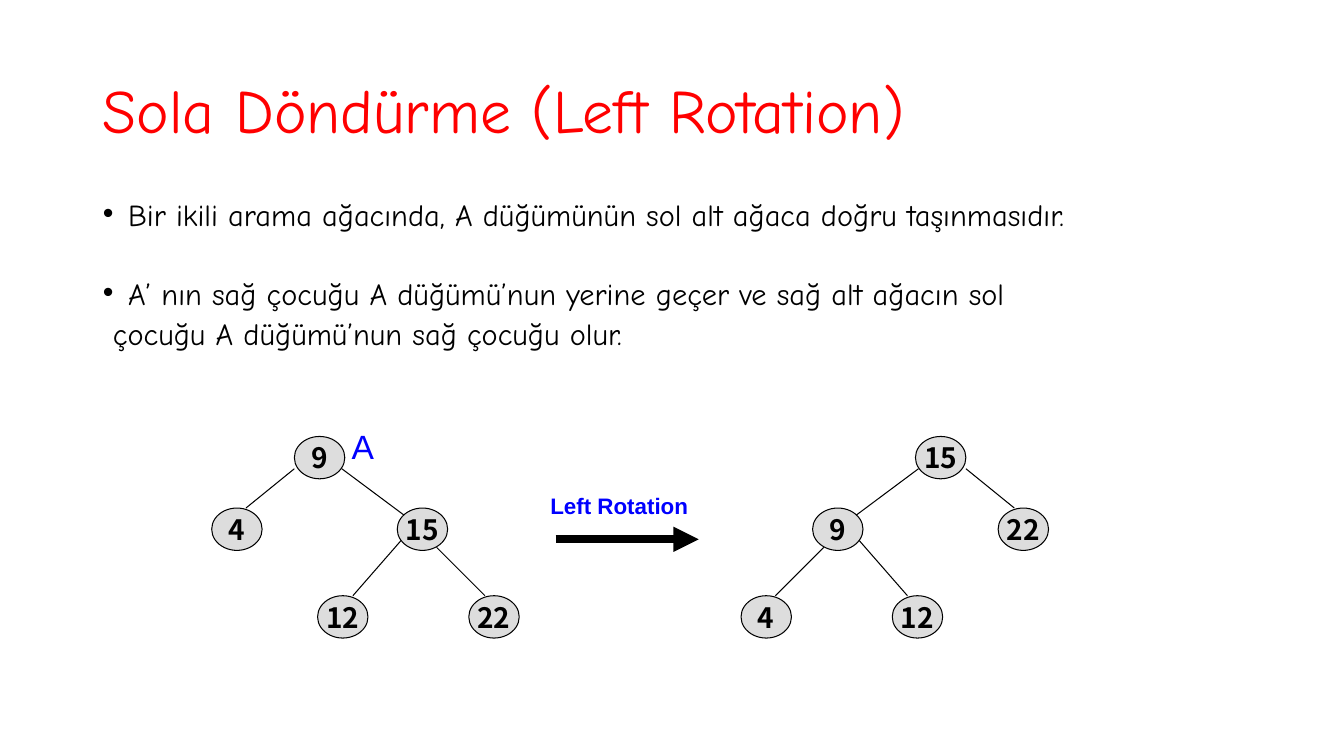
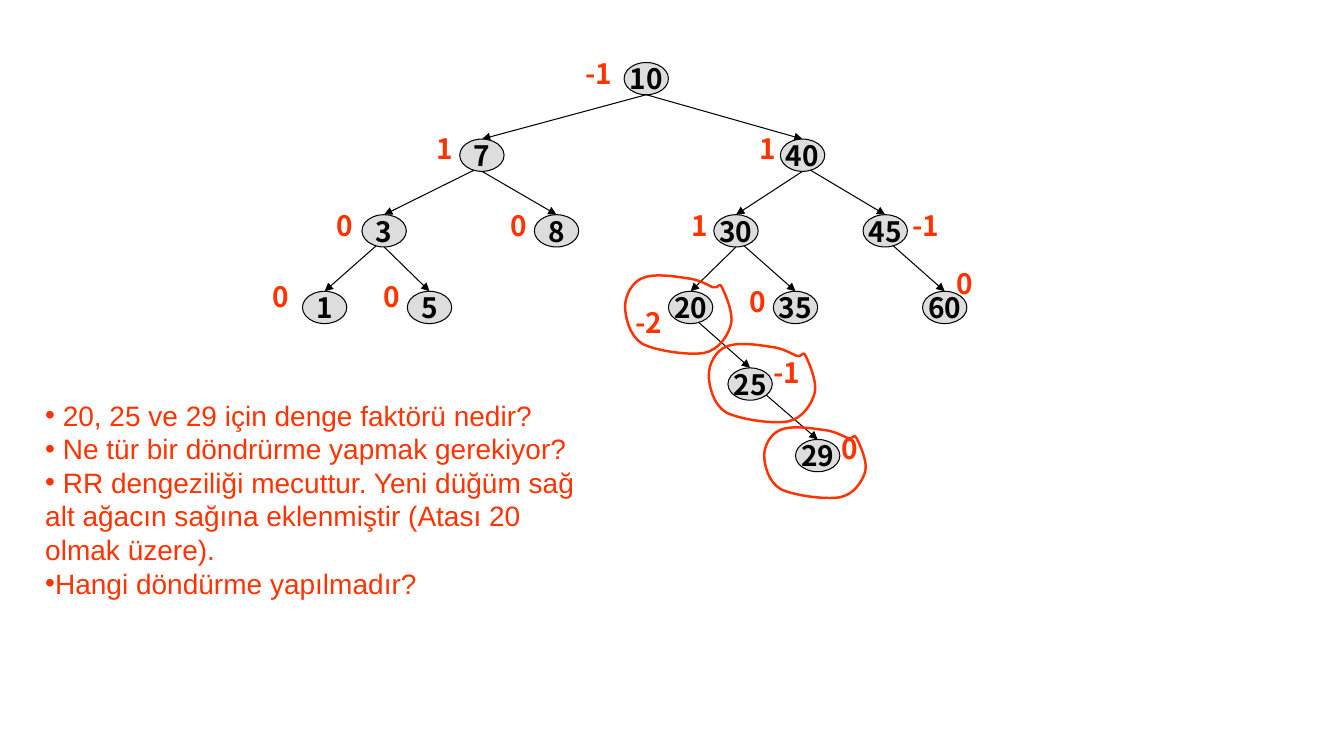
from math import sqrt

from lxml import etree
from pptx import Presentation
from pptx import util as u
from pptx.dml.color import RGBColor
from pptx.enum import shapes, text
from pptx.oxml.ns import qn

# Shared style
BLACK = RGBColor(0x00, 0x00, 0x00)
RED = RGBColor(0xFF, 0x00, 0x00)
ORANGE = RGBColor(0xFF, 0x33, 0x00)
BLUE = RGBColor(0x00, 0x00, 0xFF)
GREY = RGBColor(0xDD, 0xDD, 0xDD)
HEADING_FONT, TEXT_FONT, NODE_FONT = "Comic Neue", "Arial", "Noto Sans CJK KR"


def write(shape, lines, size, font, color, bold=False, wrap=True):
    """Fill a shape with one paragraph per line, all in one style."""
    frame = shape.text_frame
    frame.text = lines
    frame.word_wrap = wrap
    frame.auto_size = text.MSO_AUTO_SIZE.NONE
    for paragraph in frame.paragraphs:
        for run in paragraph.runs:
            run.font.size = u.Pt(size)
            run.font.name = font
            run.font.bold = bold
            run.font.color.rgb = color
    return frame


def draw_line(slide, start, end, width=0.75, arrow=False):
    """Connect two points given in inches."""
    connector = slide.shapes.add_connector(
        shapes.MSO_CONNECTOR.STRAIGHT, *[u.Inches(v) for v in (*start, *end)])
    connector.line.color.rgb = BLACK
    connector.line.width = u.Pt(width)
    properties = connector._element.spPr
    if arrow:
        etree.SubElement(properties.find(qn("a:ln")), qn("a:tailEnd"), type="triangle")
    etree.SubElement(properties, qn("a:effectLst"))


presentation = Presentation()
presentation.slide_width, presentation.slide_height = u.Inches(13.33), u.Inches(7.5)
rotation_slide = presentation.slides.add_slide(presentation.slide_layouts[1])
balance_slide = presentation.slides.add_slide(presentation.slide_layouts[6])

# Rotation slide: title
title = rotation_slide.shapes.title
title.left, title.top, title.width, title.height = [u.Inches(v) for v in (0.92, 0.4, 11.5, 1.45)]
frame = write(title, "Sola Döndürme (Left Rotation)", 44, HEADING_FONT, RED)
frame.vertical_anchor = text.MSO_ANCHOR.MIDDLE
frame.paragraphs[0].alignment = text.PP_ALIGN.LEFT
frame.paragraphs[0].line_spacing = 0.9

# Rotation slide: the right tree mirrors the left one
MIRROR = 12.5
NODE_WIDTH, NODE_HEIGHT = 0.5, 0.42
node_places = [(2.92, 4.33), (2.1, 5.04), (3.94, 5.04), (3.15, 5.91), (4.65, 5.91)]
edges = [((2.92, 4.65), (2.44, 5.04)), ((3.39, 4.65), (4.02, 5.12)),
         ((3.98, 5.36), (3.5, 5.91)), ((4.33, 5.43), (4.81, 5.91))]
nodes = []  # slide, value, left, top, width, height
for values, mirrored in (((9, 4, 15, 12, 22), False), ((15, 22, 9, 12, 4), True)):
    for value, (x, y) in zip(values, node_places):
        left = MIRROR - NODE_WIDTH - x if mirrored else x
        nodes.append((rotation_slide, value, left, y, NODE_WIDTH, NODE_HEIGHT))
    for edge in edges:
        start, end = [(MIRROR - x if mirrored else x, y) for x, y in edge]
        draw_line(rotation_slide, start, end)
draw_line(rotation_slide, (5.51, 5.35), (6.93, 5.35), 6, True)

# Balance slide: value, centre, level, parent, shift of the edge on the parent's rim
ROW_TOPS = [0.62, 1.38, 2.13, 2.89, 3.65, 4.36]
OVAL_WIDTH, OVAL_HEIGHT = 0.44, 0.32
tree = [
    (10, 6.41, 0, None, 0),
    (7, 4.78, 1, 10, 0), (40, 7.96, 1, 10, 0),
    (3, 3.81, 2, 7, -0.08), (8, 5.52, 2, 7, 0),
    (30, 7.3, 2, 40, 0), (45, 8.78, 2, 40, 0.08),
    (1, 3.22, 3, 3, -0.08), (5, 4.26, 3, 3, 0),
    (20, 6.85, 3, 30, 0), (35, 7.89, 3, 30, 0.08), (60, 9.37, 3, 45, 0.08),
    (25, 7.44, 4, 20, 0.08),
    (29, 8.11, 5, 25, 0.16),
]
centres = {}
for value, x, level, parent, shift in tree:
    top = ROW_TOPS[level]
    centres[value] = (x, top + OVAL_HEIGHT / 2)
    nodes.append((balance_slide, value, x - OVAL_WIDTH / 2, top, OVAL_WIDTH, OVAL_HEIGHT))
    if parent is not None:
        parent_x, parent_y = centres[parent]
        rim = OVAL_HEIGHT / 2 * sqrt(1 - (2 * shift / OVAL_WIDTH) ** 2)
        draw_line(balance_slide, (parent_x + shift, parent_y + rim), (x, top), arrow=True)

# Nodes of all trees
for slide, value, *box in nodes:
    node = slide.shapes.add_shape(shapes.MSO_SHAPE.OVAL, *[u.Inches(v) for v in box])
    node.shadow.inherit = False
    node.fill.solid()
    node.fill.fore_color.rgb = GREY
    node.line.color.rgb = BLACK
    node.line.width = u.Pt(0.75)
    frame = write(node, str(value), 20, NODE_FONT, BLACK, True, False)
    frame.vertical_anchor = text.MSO_ANCHOR.MIDDLE
    frame.paragraphs[0].alignment = text.PP_ALIGN.CENTER

# Captions and balance factors
labels = [
    (rotation_slide, "Left Rotation", (5.36, 4.83, 1.58, 0.37), 16, TEXT_FONT, BLUE, True),
    (rotation_slide, "A", (3.39, 4.18, 0.47, 0.5), 24, TEXT_FONT, BLUE, False),
]
for factor, x, y in (
        (-1, 5.71, 0.51), (1, 4.23, 1.26), (1, 7.43, 1.26), (0, 3.24, 2.02),
        (0, 4.97, 2.02), (1, 6.76, 2.02), (-1, 8.95, 2.02), (0, 2.6, 2.72),
        (0, 3.71, 2.72), (0, 7.34, 2.77), (0, 9.39, 2.59), (-2, 6.2, 2.98),
        (-1, 7.57, 3.48), (0, 8.25, 4.23)):
    width = 0.53 if factor < 0 else 0.36
    labels.append((balance_slide, str(factor), (x, y, width, 0.43), 20, NODE_FONT, ORANGE, True))
for slide, caption, box, size, font, color, bold in labels:
    label = slide.shapes.add_textbox(*[u.Inches(v) for v in box])
    write(label, caption, size, font, color, bold, slide is rotation_slide)

# Hand-drawn rings: a start, then two controls and an end for each curve
RING_WIDTH, RING_HEIGHT = 1.08, 0.82
ring_points = [
    (0.61, 0.05),
    (0.49, 0.03), (0.27, 0), (0.17, 0.05),
    (0.07, 0.09), (0, 0.22), (0, 0.33),
    (0, 0.43), (0.04, 0.62), (0.17, 0.7),
    (0.3, 0.77), (0.64, 0.82), (0.79, 0.79),
    (0.93, 0.76), (1.02, 0.62), (1.05, 0.51),
    (1.08, 0.4), (0.99, 0.2), (0.96, 0.14),
    (0.93, 0.08), (0.93, 0.16), (0.87, 0.14),
    (0.82, 0.12), (0.73, 0.06), (0.61, 0.05),
]
for left, top, width, height in ((7.58, 4.22, 1.03, 0.74), (7.03, 3.39, 1.08, 0.82),
                                 (6.2, 2.71, 1.08, 0.82)):
    points = [(u.Inches(left + x * width / RING_WIDTH), u.Inches(top + y * height / RING_HEIGHT))
              for x, y in ring_points]
    builder = balance_slide.shapes.build_freeform(*points[0])
    builder.add_line_segments(points[1:], close=True)
    ring = builder.convert_to_shape()
    ring.shadow.inherit = False
    ring.fill.background()
    ring.line.color.rgb = ORANGE
    ring.line.width = u.Pt(1.75)
    # Join each three segments into one cubic curve
    segments = list(ring._element.iter(qn("a:lnTo")))
    for first in range(0, len(segments), 3):
        curve = etree.Element(qn("a:cubicBezTo"))
        segments[first].addprevious(curve)
        for segment in segments[first:first + 3]:
            curve.append(segment[0])
            segment.getparent().remove(segment)

# Lists on both slides; each line: text, left margin, hanging indent, space before, bullet
rotation_lines = [
    ("Bir ikili arama ağacında, A düğümünün sol alt ağaca doğru taşınmasıdır.", 0.25, -0.25, 10, True),
    ("A’ nın sağ çocuğu A düğümü’nun yerine geçer ve sağ alt ağacın sol", 0.25, -0.25, 38.5, True),
    ("çocuğu A düğümü’nun sağ çocuğu olur.", 0.1, 0, 10, False),
]
balance_lines = [(line, 0, 0, 0, True) for line in (
    " 20, 25 ve 29 için denge faktörü nedir?",
    " Ne tür bir döndrürme yapmak gerekiyor?",
    " RR dengeziliği mecuttur. Yeni düğüm sağ alt ağacın sağına eklenmiştir (Atası 20 olmak üzere).",
    "Hangi döndürme yapılmadır?",
)]
rotation_list = rotation_slide.placeholders[1]
balance_list = balance_slide.shapes.add_textbox(0, 0, 0, 0)
for shape, box, lines, size, font, color, spacing, alignment in (
        (rotation_list, (0.92, 1.99, 11.5, 1.6), rotation_lines, 21.7, HEADING_FONT, BLACK,
         0.7, text.PP_ALIGN.JUSTIFY),
        (balance_list, (0.35, 3.9, 5.51, 2.12), balance_lines, 20, TEXT_FONT, ORANGE,
         1.0, text.PP_ALIGN.LEFT)):
    shape.left, shape.top, shape.width, shape.height = [u.Inches(v) for v in box]
    frame = write(shape, "\n".join(line[0] for line in lines), size, font, color)
    for paragraph, (_, margin, indent, before, bullet) in zip(frame.paragraphs, lines):
        paragraph.alignment = alignment
        paragraph.line_spacing = spacing
        paragraph.space_before = u.Pt(before)
        properties = paragraph._p.get_or_add_pPr()
        properties.set("marL", str(u.Inches(margin)))
        properties.set("indent", str(u.Inches(indent)))
        if bullet:
            etree.SubElement(properties, qn("a:buFont"), typeface=TEXT_FONT)
            etree.SubElement(properties, qn("a:buChar"), char="•")
        else:
            etree.SubElement(properties, qn("a:buNone"))

presentation.save("out.pptx")
